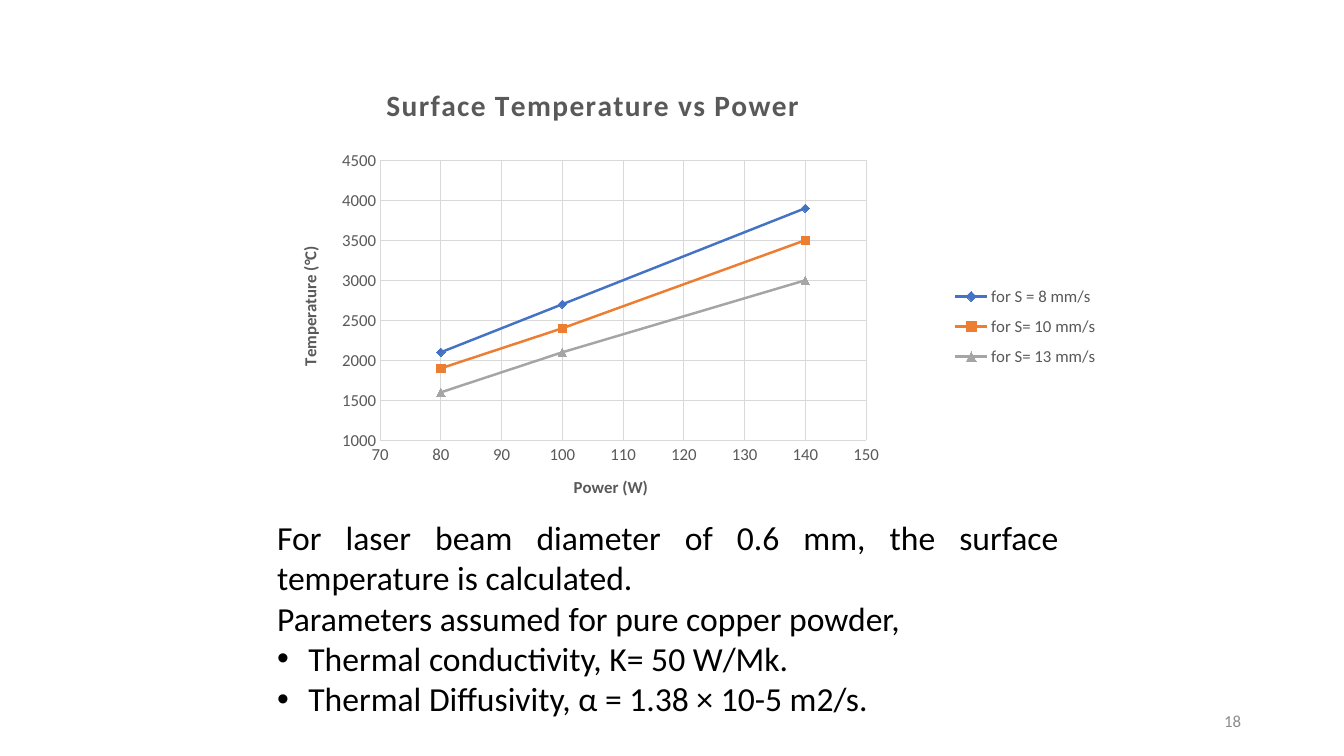
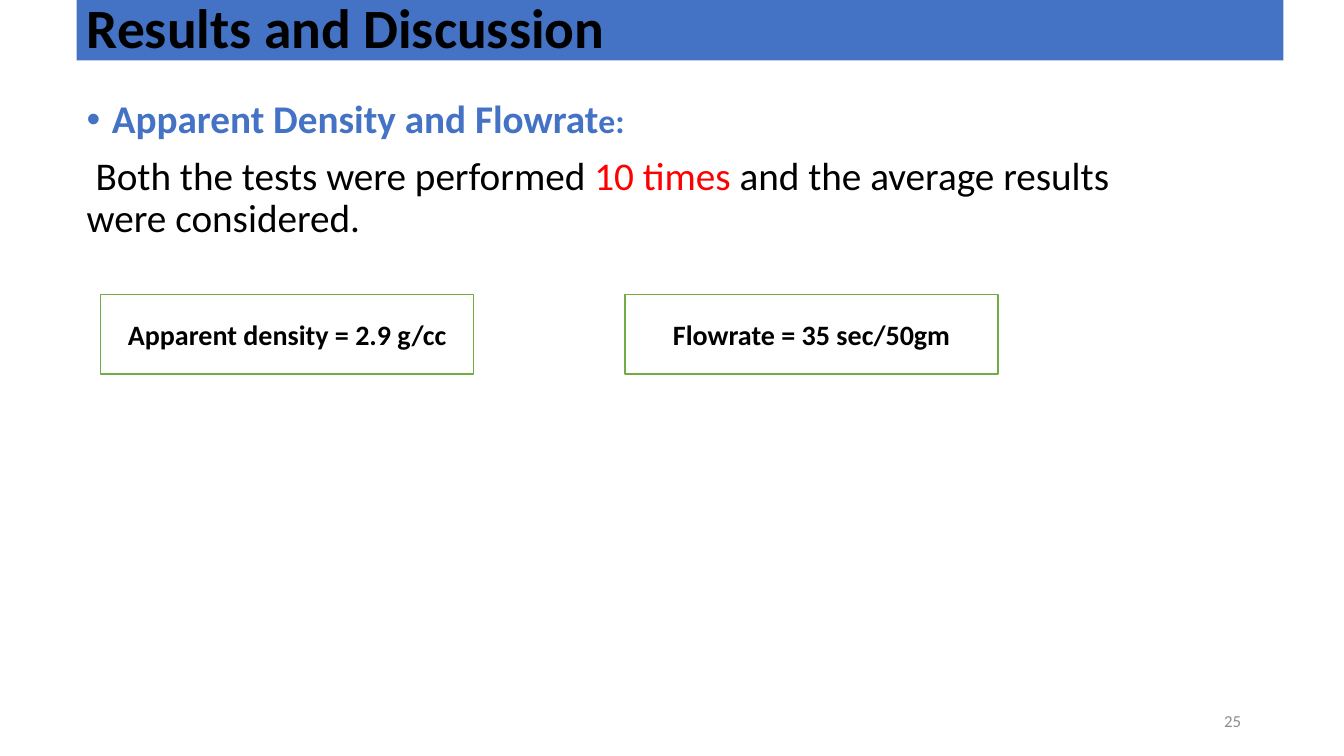
from dataclasses import dataclass

from lxml.etree import SubElement
from pptx import Presentation
from pptx.chart.data import XyChartData
from pptx.dml.color import RGBColor
from pptx.enum.chart import XL_CHART_TYPE, XL_LEGEND_POSITION, XL_MARKER_STYLE, XL_TICK_MARK
from pptx.enum.shapes import MSO_SHAPE
from pptx.enum.text import MSO_ANCHOR, MSO_AUTO_SIZE, PP_ALIGN
from pptx.oxml.ns import qn
from pptx.oxml.xmlchemy import OxmlElement
from pptx.util import Inches, Pt

FONT = "Calibri"
BLACK, WHITE, RED = "000000", "FFFFFF", "FF0000"
BLUE, ORANGE, SILVER, GREEN = "4472C4", "ED7D31", "A5A5A5", "70AD47"
CHART_TEXT, GRID, NUMBER_GRAY = "595959", "D9D9D9", "8C8C8C"
CHART_WIDTH, CHART_HEIGHT = 8.62, 4.65


@dataclass
class Span:
    text: str
    size: float
    color: str = BLACK
    bold: bool = False


@dataclass
class Line:
    spans: list[Span]
    indent: float = 0  # a positive indent gives the line a bullet


@dataclass
class Speed:
    label: str
    temperatures: list[int]
    color: str
    marker: XL_MARKER_STYLE


@dataclass
class Axis:
    title: str
    title_x: float
    title_y: float
    low: int
    high: int
    step: int


POWERS = [80, 100, 140]
SPEEDS = [
    Speed("for S = 8 mm/s", [2100, 2700, 3900], BLUE, XL_MARKER_STYLE.DIAMOND),
    Speed("for S= 10 mm/s", [1900, 2400, 3500], ORANGE, XL_MARKER_STYLE.SQUARE),
    Speed("for S= 13 mm/s", [1600, 2100, 3000], SILVER, XL_MARKER_STYLE.TRIANGLE),
]
POWER_AXIS = Axis("Power (W)", 3.31, 4.09, 70, 150, 10)
TEMPERATURE_AXIS = Axis("Temperature (°C)", 0.58, 1.81, 1000, 4500, 500)


def rgb(color: str) -> RGBColor:
    return RGBColor.from_string(color)


def fill_with(target, color: str) -> None:
    target.fill.solid()
    target.fill.fore_color.rgb = rgb(color)


def outline(line, color: str, width: float) -> None:
    line.color.rgb = rgb(color)
    line.width = Pt(width)


def style_font(font, size: float, color: str, bold: bool = False) -> None:
    font.name, font.size, font.bold = FONT, Pt(size), bold
    font.color.rgb = rgb(color)


def place(shape, left: float, top: float, width: float, height: float) -> None:
    shape.left, shape.top = Inches(left), Inches(top)
    shape.width, shape.height = Inches(width), Inches(height)


def set_bullet(paragraph, indent: float) -> None:
    properties = paragraph._p.get_or_add_pPr()
    properties.set("marL", str(Inches(indent)))
    properties.set("indent", str(-Inches(indent)))
    if indent:
        SubElement(properties, qn("a:buFont")).set("typeface", "Arial")
        SubElement(properties, qn("a:buChar")).set("char", "•")
    else:
        SubElement(properties, qn("a:buNone"))


def write(frame, lines: list[Line], *, align=PP_ALIGN.LEFT, anchor=MSO_ANCHOR.TOP,
          spacing: float = 1.0, before: float = 0, fit=MSO_AUTO_SIZE.NONE) -> None:
    frame.word_wrap = True
    frame.auto_size = fit
    frame.vertical_anchor = anchor
    for index, line in enumerate(lines):
        paragraph = frame.add_paragraph() if index else frame.paragraphs[0]
        set_bullet(paragraph, line.indent)
        paragraph.alignment = align
        paragraph.line_spacing = spacing
        paragraph.space_before = Pt(before if index else 0)
        for span in line.spans:
            run = paragraph.add_run()
            run.text = span.text
            style_font(run.font, span.size, span.color, span.bold)


def add_slide_number(slide, number: int) -> None:
    box = slide.shapes.add_textbox(Inches(9.41), Inches(6.95), Inches(3), Inches(0.4))
    write(box.text_frame, [Line([Span(str(number), 12, NUMBER_GRAY)])],
          align=PP_ALIGN.RIGHT, anchor=MSO_ANCHOR.MIDDLE)


def set_layout(part, **inches: float) -> None:
    """Fix a title, legend or plot area in inches from the chart's corner."""
    is_plot = part.tag == qn("c:plotArea")
    layout = part.find(qn("c:layout"))
    if layout is None:
        layout = OxmlElement("c:layout")
        part.insert(0 if is_plot else 1, layout)
    for child in list(layout):
        layout.remove(child)
    manual = SubElement(layout, qn("c:manualLayout"))
    if is_plot:
        SubElement(manual, qn("c:layoutTarget")).set("val", "inner")
    for side in ("x", "y"):
        SubElement(manual, qn(f"c:{side}Mode")).set("val", "edge")
    for name, length in inches.items():
        whole = CHART_WIDTH if name in ("x", "w") else CHART_HEIGHT
        SubElement(manual, qn(f"c:{name}")).set("val", str(length / whole))


def set_chart_title(title, text: str, size: float, x: float, y: float):
    title.text_frame.text = text
    run = title.text_frame.paragraphs[0].runs[0]
    style_font(run.font, size, CHART_TEXT, bold=True)
    set_layout(title._element, x=x, y=y)
    return run


def style_axis(axis, look: Axis) -> None:
    axis.minimum_scale, axis.maximum_scale = look.low, look.high
    axis.major_unit = look.step
    axis.major_tick_mark = axis.minor_tick_mark = XL_TICK_MARK.NONE
    axis.has_major_gridlines = True
    for line in (axis.format.line, axis.major_gridlines.format.line):
        outline(line, GRID, 0.75)
    style_font(axis.tick_labels.font, 12, CHART_TEXT)
    set_chart_title(axis.axis_title, look.title, 12, look.title_x, look.title_y)


def add_temperature_chart(slide) -> None:
    data = XyChartData()
    for speed in SPEEDS:
        points = data.add_series(speed.label)
        for power, temperature in zip(POWERS, speed.temperatures):
            points.add_data_point(power, temperature)
    chart = slide.shapes.add_chart(XL_CHART_TYPE.XY_SCATTER_LINES, Inches(2.35), Inches(0.6),
                                   Inches(CHART_WIDTH), Inches(CHART_HEIGHT), data).chart
    style_font(chart.font, 10, BLACK)
    chart.has_title = True
    heading = set_chart_title(chart.chart_title, "Surface Temperature vs Power", 21, 1.43, 0.19)
    heading.font._element.set("spc", "100")

    style_axis(chart.category_axis, POWER_AXIS)
    style_axis(chart.value_axis, TEMPERATURE_AXIS)
    set_layout(chart._chartSpace.chart.plotArea, x=1.42, y=0.99, w=4.82, h=2.78)
    chart.has_legend = True
    chart.legend.position = XL_LEGEND_POSITION.RIGHT
    chart.legend.include_in_layout = False
    style_font(chart.legend.font, 12, CHART_TEXT)
    set_layout(chart.legend._element, x=7.07, y=2.14, w=1.5, h=1)

    plot = chart.plots[0]
    plot.vary_by_categories = False
    for series, speed in zip(plot.series, SPEEDS):
        series.smooth = False
        outline(series.format.line, speed.color, 1.75)
        series.marker.style = speed.marker
        series.marker.size = 6
        fill_with(series.marker.format, speed.color)
        outline(series.marker.format.line, speed.color, 0.75)


def add_result_box(slide, left: float, text: str) -> None:
    box = slide.shapes.add_shape(MSO_SHAPE.RECTANGLE, Inches(left), Inches(2.92),
                                 Inches(3.7), Inches(0.79))
    box.shadow.inherit = False
    fill_with(box, WHITE)
    outline(box.line, GREEN, 1)
    write(box.text_frame, [Line([Span(text, 20, bold=True)])],
          align=PP_ALIGN.CENTER, anchor=MSO_ANCHOR.MIDDLE)


def build_temperature_slide(deck) -> None:
    slide = deck.slides.add_slide(deck.slide_layouts[6])
    add_temperature_chart(slide)
    add_slide_number(slide, 18)
    assumptions = [
        ("For laser beam diameter of 0.6 mm, the surface temperature is calculated.", 0),
        ("Parameters assumed for pure copper powder,", 0),
        ("Thermal conductivity, K= 50 W/Mk.", 0.31),
        ("Thermal Diffusivity, α = 1.38 × 10-5 m2/s.", 0.31),
    ]
    box = slide.shapes.add_textbox(Inches(2.65), Inches(5.08), Inches(7.95), Inches(2.42))
    write(box.text_frame, [Line([Span(text, 24)], indent) for text, indent in assumptions],
          align=PP_ALIGN.JUSTIFY, fit=MSO_AUTO_SIZE.SHAPE_TO_FIT_TEXT)


def build_results_slide(deck) -> None:
    slide = deck.slides.add_slide(deck.slide_layouts[1])
    title, findings = slide.placeholders
    place(title, 0.76, 0, 11.97, 0.6)
    fill_with(title, BLUE)
    write(title.text_frame, [Line([Span("Results and Discussion", 39.6, bold=True)])],
          anchor=MSO_ANCHOR.MIDDLE, spacing=0.9)

    place(findings, 0.76, 0.94, 10.64, 6.2)
    fill_with(findings, WHITE)
    write(findings.text_frame, [
        Line([Span("Apparent Density and Flowrat", 28, BLUE, True),
              Span("e:", 24, BLUE, True)], indent=0.25),
        Line([Span(" Both the tests were performed ", 28),
              Span("10 times ", 28, RED),
              Span("and the average results were considered.", 28)]),
    ], spacing=0.9, before=10)

    add_slide_number(slide, 25)
    for column, result in enumerate(["Apparent density = 2.9 g/cc", "Flowrate = 35 sec/50gm"]):
        add_result_box(slide, 1 + 5.2 * column, result)


def main() -> None:
    deck = Presentation()
    deck.slide_width, deck.slide_height = Inches(13.33), Inches(7.5)
    build_temperature_slide(deck)
    build_results_slide(deck)
    deck.save("out.pptx")


if __name__ == "__main__":
    main()
